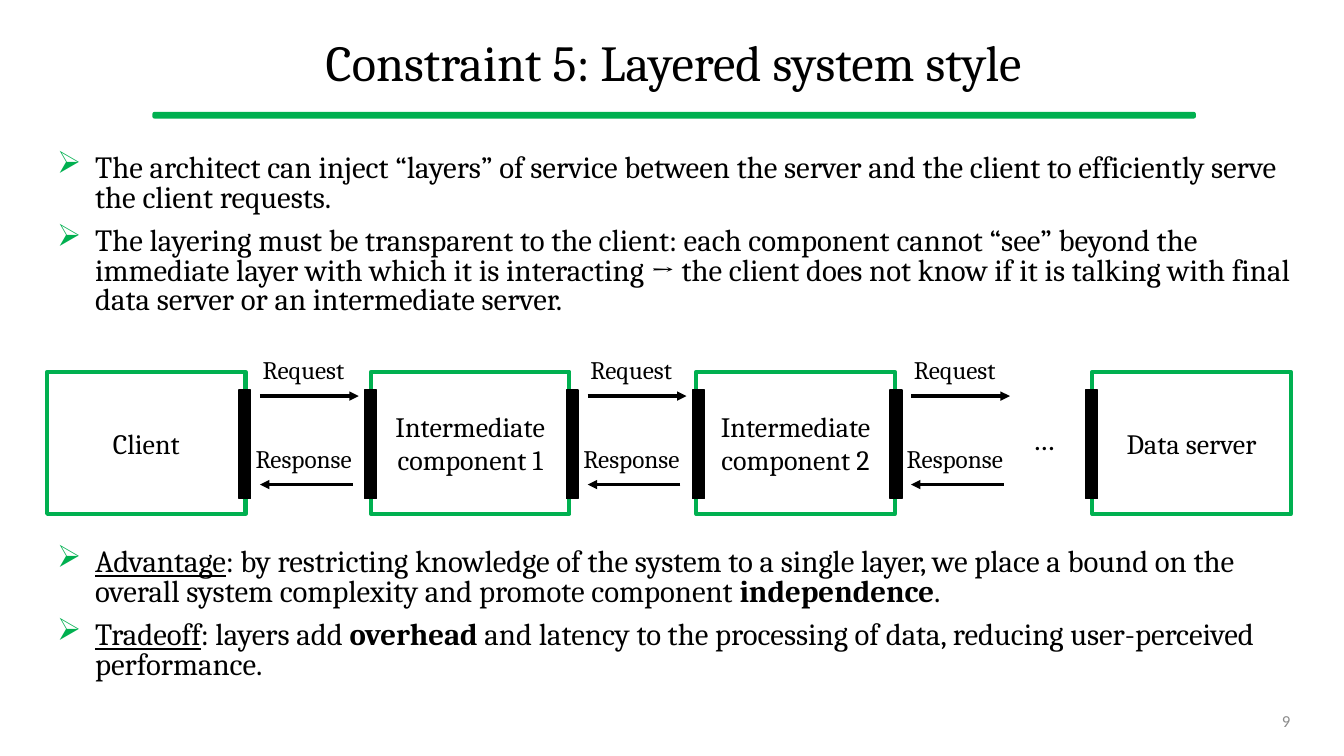
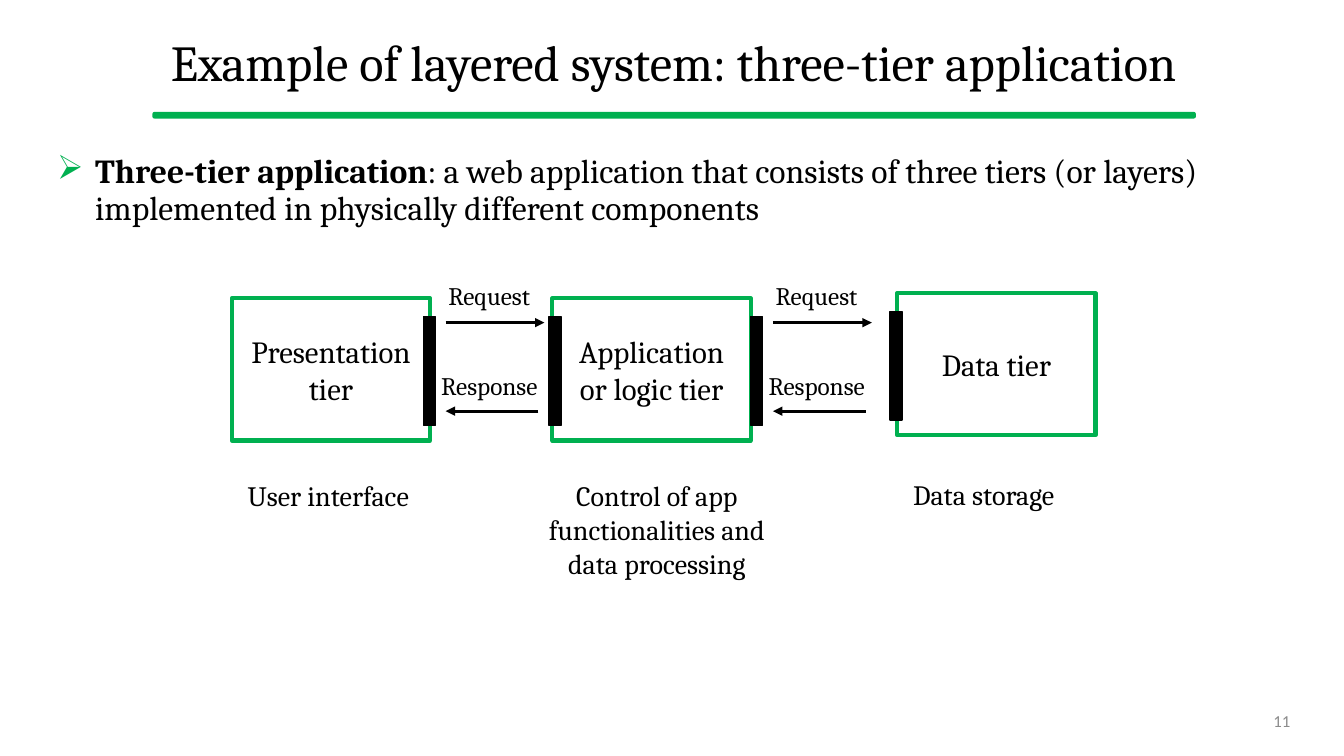
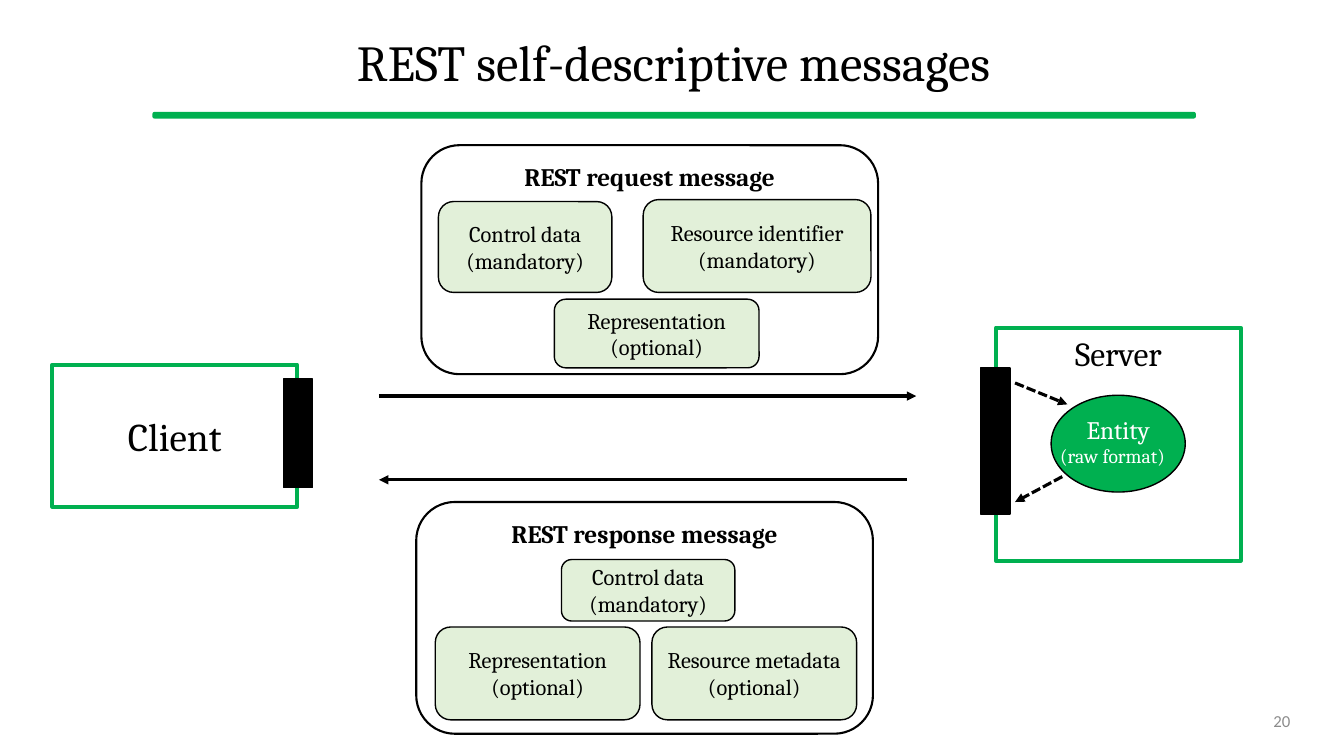
from lxml.etree import SubElement
from pptx import Presentation
from pptx.dml.color import RGBColor
from pptx.enum.dml import MSO_LINE
from pptx.enum.shapes import MSO_CONNECTOR, MSO_SHAPE
from pptx.enum.text import MSO_ANCHOR, PP_ALIGN
from pptx.oxml.ns import qn
from pptx.util import Cm, Pt

COLORS = {
    "green": "00B050",
    "pale": "E2F0D9",
    "white": "FFFFFF",
    "black": "000000",
    "gray": "8C8C8C",
}
MARGIN = 1.19
CONTENT_WIDTH = 31.57
TIER_WIDTH, TIER_HEIGHT = 5, 3.58
BAR_HEIGHT = 2.74


def color(name):
    return RGBColor.from_string(COLORS[name])


def add_bullet(paragraph):
    properties = paragraph._p.get_or_add_pPr()
    indent = Cm(0.96)
    properties.set("marL", str(indent))
    properties.set("indent", str(-indent))
    bullet_color = SubElement(properties, qn("a:buClr"))
    SubElement(bullet_color, qn("a:srgbClr")).set("val", COLORS["green"])
    SubElement(properties, qn("a:buChar")).set("char", "➢")


def write(frame, paragraphs, size=20, font="Cambria", ink="black", bold=False,
          align=PP_ALIGN.LEFT, anchor=MSO_ANCHOR.TOP, spacing=None,
          before=0, bullet=False):
    """Fill a frame; a paragraph is a string or (text, emphasis) pairs,
    where the emphasis is "b" (bold), "u" (underlined) or empty."""
    frame.word_wrap = True
    frame.vertical_anchor = anchor
    if isinstance(paragraphs, str):
        paragraphs = [paragraphs]
    for index, content in enumerate(paragraphs):
        paragraph = frame.add_paragraph() if index else frame.paragraphs[0]
        paragraph.alignment = align
        if spacing:
            paragraph.line_spacing = spacing
        if index and before:
            paragraph.space_before = Pt(before)
        if bullet:
            add_bullet(paragraph)
        pieces = [(content, "")] if isinstance(content, str) else content
        for text, emphasis in pieces:
            run = paragraph.add_run()
            run.text = text
            run.font.size = Pt(size)
            run.font.name = font
            run.font.color.rgb = color(ink)
            run.font.bold = bold or emphasis == "b"
            run.font.underline = emphasis == "u"


class Deck:
    def __init__(self):
        self.presentation = Presentation()
        self.presentation.slide_width = Cm(33.87)
        self.presentation.slide_height = Cm(19.05)
        self.slide = None

    def new_slide(self, heading, number):
        layout = self.presentation.slide_layouts[5]
        self.slide = self.presentation.slides.add_slide(layout)
        band = self.box(3.86, 2.84, 26.26, 0.13, fill="green", border="green",
                        outline=MSO_SHAPE.ROUNDED_RECTANGLE)
        band.adjustments[0] = 0.26
        title = self.slide.shapes.title
        title.left, title.top = Cm(MARGIN), Cm(0.46)
        title.width, title.height = Cm(CONTENT_WIDTH), Cm(2.39)
        write(title.text_frame, heading, size=36, align=PP_ALIGN.CENTER,
              anchor=MSO_ANCHOR.MIDDLE, spacing=0.9)
        self.label(number, 23.93, 17.65, 8.84, 1.02, size=12, font="Calibri",
                   ink="gray", align=PP_ALIGN.RIGHT, anchor=MSO_ANCHOR.MIDDLE)

    def label(self, text, left, top, width, height=1.02, **style):
        holder = self.slide.shapes.add_textbox(
            Cm(left), Cm(top), Cm(width), Cm(height))
        write(holder.text_frame, text, **style)

    def bullets(self, paragraphs, top, height, size, spacing):
        self.label(paragraphs, MARGIN, top, CONTENT_WIDTH, height, size=size,
                   spacing=spacing, before=10, bullet=True)

    def box(self, left, top, width, height, text=None, fill="white",
            border="black", weight=1, outline=MSO_SHAPE.RECTANGLE,
            anchor=MSO_ANCHOR.MIDDLE, **style):
        shape = self.slide.shapes.add_shape(
            outline, Cm(left), Cm(top), Cm(width), Cm(height))
        shape.shadow.inherit = False
        shape.fill.solid()
        shape.fill.fore_color.rgb = color(fill)
        shape.line.color.rgb = color(border)
        shape.line.width = Pt(weight)
        if text:
            write(shape.text_frame, text, align=PP_ALIGN.CENTER,
                  anchor=anchor, **style)
        return shape

    def arrow(self, start, end, dashed=False):
        connector = self.slide.shapes.add_connector(
            MSO_CONNECTOR.STRAIGHT, *(Cm(value) for value in start + end))
        connector.line.color.rgb = color("black")
        connector.line.width = Pt(2.25)
        if dashed:
            connector.line.dash_style = MSO_LINE.SQUARE_DOT
        properties = connector._element.spPr
        SubElement(properties.find(qn("a:ln")), qn("a:tailEnd")).set(
            "type", "triangle")
        SubElement(properties, qn("a:effectLst"))

    def component(self, text, left, top, width=TIER_WIDTH, height=TIER_HEIGHT,
                  **style):
        self.box(left, top, width, height, text, border="green", weight=3,
                 **style)

    def bar(self, left, top, width=0.3, height=BAR_HEIGHT):
        """Draw the black interface on the side of a component."""
        self.box(left, top, width, height, fill="black")

    def tier(self, text, left, top, bars, size):
        self.component(text, left, top, size=size)
        for bar_left in bars:
            self.bar(bar_left, top + 0.46)

    def exchange(self, left, top):
        """Draw a request arrow with the response arrow below it."""
        back = top + 2.23
        self.arrow((left, top), (left + 2.49, top))
        self.label("Request", left - 0.18, top - 1.18, 3, size=18)
        self.arrow((left + 2.34, back), (left, back))
        self.label("Response", left - 0.36, back - 1.16, 3.25, size=18)

    def message(self, heading, left, top, height, parts):
        rounded = MSO_SHAPE.ROUNDED_RECTANGLE
        self.box(left, top, 11.51, height, heading, weight=1.5,
                 outline=rounded, anchor=MSO_ANCHOR.TOP, size=18, bold=True)
        for text, *place in parts:
            self.box(*place, text, fill="pale", outline=rounded, size=16)


def layered_system(deck):
    deck.new_slide("Constraint 5: Layered system style", "9")
    deck.bullets([
        "The architect can inject “layers” of service between the server and "
        "the client to efficiently serve the client requests.",
        "The layering must be transparent to the client: each component "
        "cannot “see” beyond the immediate layer with which it is "
        "interacting → the client does not know if it is talking with final "
        "data server or an intermediate server.",
    ], 3.78, 4.6, size=22, spacing=0.8)
    for text, left, bars in [
        ("Client", 1.19, [6.02]),
        ("Intermediate component 1", 9.35, [9.19, 14.27]),
        ("Intermediate component 2", 17.55, [17.45, 22.43]),
        ("Data server", 27.53, [27.36]),
    ]:
        deck.tier(text, left, 9.37, bars, size=20)
    for left in (6.55, 14.81, 22.96):
        deck.exchange(left, 9.98)
    deck.label("…", 25.83, 10.52, 1.35, 1.12, font="Calibri")
    deck.bullets([
        [("Advantage", "u"),
         (": by restricting knowledge of the system to a single layer, we "
          "place a bound on the overall system complexity and promote "
          "component ", ""),
         ("independence", "b"), (".", "")],
        [("Tradeoff", "u"), (": layers add ", ""), ("overhead", "b"),
         (" and latency to the processing of data, reducing user-perceived "
          "performance.", "")],
    ], 13.71, 3.8, size=22, spacing=0.8)


def three_tier(deck):
    deck.new_slide("Example of layered system: three-tier application", "11")
    deck.bullets([
        [("Three-tier application", "b"),
         (": a web application that consists of three tiers (or layers) "
          "implemented in physically different components", "")],
    ], 3.78, 2.4, size=24, spacing=0.9)
    for text, left, top, bars in [
        ("Presentation tier", 5.84, 7.52, [10.67]),
        ("Application or logic tier", 13.92, 7.52, [13.84, 18.92]),
        ("Data tier", 22.61, 7.39, [22.43]),
    ]:
        deck.tier(text, left, top, bars, size=22)
    for left in (11.23, 19.48):
        deck.exchange(left, 8.13)
    deck.label("User interface", 5.99, 11.94, 4.85, 1.12)
    deck.label("Control of app functionalities and data processing",
               12.95, 11.94, 7.21, 2.82, align=PP_ALIGN.CENTER)
    deck.label("Data storage", 22.76, 11.91, 4.85, 1.12)


def rest_messages(deck):
    deck.new_slide("REST self-descriptive messages", "20")
    deck.component("Client", 1.32, 9.19, 6.17, size=28)
    deck.component("Server", 25.1, 8.26, 6.17, 5.87, size=24,
                   anchor=MSO_ANCHOR.TOP)
    deck.arrow((9.55, 9.98), (23.09, 9.98))
    deck.arrow((22.86, 12.09), (9.55, 12.09))
    deck.box(26.49, 9.96, 3.38, 2.44, "Entity", fill="green", size=18,
             ink="white", outline=MSO_SHAPE.OVAL, anchor=MSO_ANCHOR.TOP)
    deck.bar(24.71, 9.27, 0.74, 3.68)
    deck.bar(7.14, 9.55, 0.74)
    deck.arrow((25.58, 9.65), (26.9, 10.19), dashed=True)
    deck.arrow((26.77, 12.01), (25.58, 12.65), dashed=True)
    deck.label("(raw format)", 26.47, 11.05, 4.32, 0.86, size=14, ink="white")

    control = ["Control data", "(mandatory)"]
    representation = ["Representation", "(optional)"]
    identifier = ["Resource identifier", "(mandatory)"]
    deck.message("REST response message", 10.49, 12.65, 5.84, [
        (representation, 10.97, 15.8, 5.16, 2.34),
        ("Resource metadata (optional)", 16.43, 15.8, 5.16, 2.34),
        (control, 14.15, 14.1, 4.37, 1.55),
    ])
    deck.message("REST request message", 10.62, 3.66, 5.77, [
        (representation, 13.97, 7.54, 5.16, 1.73),
        (identifier, 16.21, 5.03, 5.74, 2.34),
        (control, 11.05, 5.08, 4.37, 2.29),
    ])


def main():
    deck = Deck()
    layered_system(deck)
    three_tier(deck)
    rest_messages(deck)
    deck.presentation.save("out.pptx")


if __name__ == "__main__":
    main()
